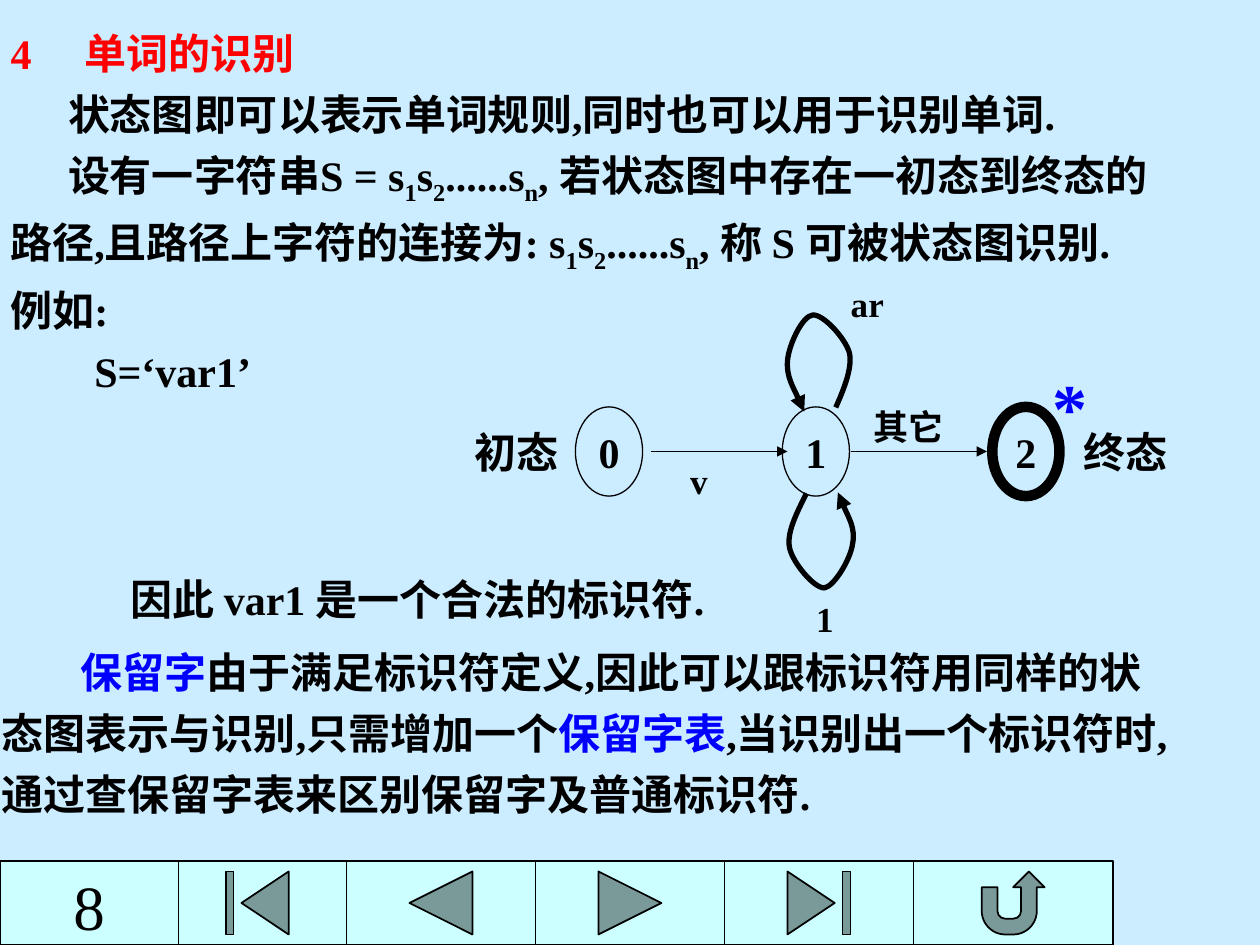
from dataclasses import dataclass

import pptx
import pptx.dml.color
import pptx.enum.shapes
import pptx.enum.text
import pptx.oxml
import pptx.oxml.ns
import pptx.util
from lxml import etree

RGB = pptx.dml.color.RGBColor
SHAPE = pptx.enum.shapes.MSO_SHAPE
ALIGN = pptx.enum.text.PP_ALIGN
ANCHOR = pptx.enum.text.MSO_ANCHOR
qn = pptx.oxml.ns.qn

SKY = RGB(0xCC, 0xEC, 0xFF)
PALE_CYAN = RGB(0xCC, 0xFF, 0xFF)
BLACK = RGB(0, 0, 0)
RED = RGB(0xFF, 0, 0)
BLUE = RGB(0, 0, 0xFF)
FONT = "Times New Roman"
COLUMNS, ROWS = 120, 90  # square cells on a 10 x 7.5 inch slide

# Running text: "_" before a letter or digit makes it a subscript, "|" switches to blue and back
INTRO = [
    ("状态图即可以表示单词规则,同时也可以用于识别单词.", 5.5),
    ("设有一字符串S = s_1s_2......s_n, 若状态图中存在一初态到终态的", 5.5),
    ("路径,且路径上字符的连接为: s_1s_2......s_n, 称 S 可被状态图识别.", 0),
    ("例如:", 0),
    ("S=‘var1’", 8),
]
CONCLUSION = [("因此 var1 是一个合法的标识符.", 0)]
RESERVED_WORDS = [
    ("|保留字|由于满足标识符定义,因此可以跟标识符用同样的状", 7.5),
    ("态图表示与识别,只需增加一个|保留字表|,当识别出一个标识符时,", 0),
    ("通过查保留字表来区别保留字及普通标识符.", 0),
]


@dataclass
class State:
    text: str
    column: float
    border: float


@dataclass
class Label:
    text: str
    column: float
    row: float
    width: float
    height: float
    size: int = 20
    color: RGB = BLACK


STATES = [State("0", 54.8, 0.75), State("1", 74.5, 0.75), State("2", 94.5, 6)]
LABELS = [
    Label("初态", 44, 40, 10.4, 6, 24),
    Label("终态", 102, 40, 10.4, 6, 24),
    Label("v", 64.5, 43.2, 4.1, 5.3),
    Label("ar", 79.8, 26.3, 5.6, 5.3),
    Label("1", 76.5, 56.3, 4.1, 5.3),
    Label("其它", 82, 38, 9.1, 5.3),
    Label("*", 99, 34, 5.8, 9.2, 40, BLUE),
]
TRANSITIONS = [(62, 75), (81, 94)]
# Bezier chains: start, then two controls and an end point per curve
LOOPS = [
    [(79.6, 38.8), (80.4, 37), (81.2, 35), (80.9, 33.6), (80.5, 32.2), (78.4, 29.9), (77.4, 30),
     (76.4, 30.1), (75.1, 32.9), (75, 34.4), (74.9, 35.9), (76.3, 38.4), (76.6, 39.2)],
    [(76.8, 47), (75.8, 49), (74.9, 50.8), (75.2, 52.2), (75.5, 53.6), (77.5, 56), (78.5, 56),
     (79.4, 55.9), (81, 53.3), (81.2, 51.8), (81.5, 50.3), (80, 47.6), (79.8, 46.9)],
]
BUTTON_EDGES = [16, 33, 51, 69, 87, 106]
BUTTONS = [
    SHAPE.ACTION_BUTTON_BEGINNING, SHAPE.ACTION_BUTTON_BACK_OR_PREVIOUS,
    SHAPE.ACTION_BUTTON_FORWARD_OR_NEXT, SHAPE.ACTION_BUTTON_END, SHAPE.ACTION_BUTTON_RETURN,
]

deck = pptx.Presentation()
deck.slide_width, deck.slide_height = pptx.util.Inches(10), pptx.util.Inches(7.5)


def cells(*counts: float) -> list[int]:
    return [round(count * deck.slide_width / COLUMNS) for count in counts]


def add_run(paragraph, text: str, size: float, color: RGB = BLACK, bold: bool = True):
    run = paragraph.add_run()
    run.text = text
    run.font.name, run.font.size, run.font.bold = FONT, pptx.util.Pt(size), bold
    run.font.color.rgb = color
    return run


def add_marked_text(paragraph, text: str) -> None:
    for part, stretch in enumerate(text.split("|")):
        color = BLUE if part % 2 else BLACK
        plain, *rest = stretch.split("_")
        if plain:
            add_run(paragraph, plain, 24, color)
        for piece in rest:
            subscript = add_run(paragraph, piece[0], 24, color)
            subscript.font._element.set("baseline", "-25000")
            add_run(paragraph, piece[1:], 24, color)


def add_text(slide, lines, column, row, width, height, align=ALIGN.LEFT) -> None:
    frame = slide.shapes.add_textbox(*cells(column, row, width, height)).text_frame
    frame.word_wrap = False
    for number, (text, indent) in enumerate(lines):
        paragraph = frame.add_paragraph() if number else frame.paragraphs[0]
        paragraph.alignment = align
        if number:
            paragraph.space_before = pptx.util.Pt(6)
        if indent:
            paragraph._p.get_or_add_pPr().set("indent", str(cells(indent)[0]))
        add_marked_text(paragraph, text)


def add_label(slide, label: Label) -> None:
    box = slide.shapes.add_textbox(*cells(label.column, label.row, label.width, label.height))
    box.text_frame.word_wrap = False
    paragraph = box.text_frame.paragraphs[0]
    paragraph.alignment = ALIGN.CENTER
    add_run(paragraph, label.text, label.size, label.color)


def add_outlined(slide, kind, column, row, width, height, border, fill=None):
    shape = slide.shapes.add_shape(kind, *cells(column, row, width, height))
    shape.shadow.inherit = False
    if fill is None:
        shape.fill.background()
    else:
        shape.fill.solid()
        shape.fill.fore_color.rgb = fill
    shape.line.color.rgb, shape.line.width = BLACK, pptx.util.Pt(border)
    return shape


def style_arrow(arrow, width: float) -> None:
    arrow.line.color.rgb, arrow.line.width = BLACK, pptx.util.Pt(width)
    etree.SubElement(arrow.line._get_or_add_ln(), qn("a:tailEnd"), type="triangle")


def add_transition(slide, start: float, end: float, row: float) -> None:
    arrow = slide.shapes.add_connector(
        pptx.enum.shapes.MSO_CONNECTOR.STRAIGHT, *cells(start, row, end, row))
    style_arrow(arrow, 0.75)
    etree.SubElement(arrow._element.spPr, qn("a:effectLst"))


def add_loop(slide, points) -> None:
    start, *others = [cells(*point) for point in points]
    builder = slide.shapes.build_freeform(*start)
    builder.add_line_segments(others, close=False)
    loop = builder.convert_to_shape()
    loop.shadow.inherit = False
    loop.fill.background()
    style_arrow(loop, 3)
    # Join every three points into one Bezier curve
    outline = next(loop._element.iter(qn("a:path")))
    segments = outline.findall(qn("a:lnTo"))
    for first in range(0, len(segments), 3):
        curve = etree.SubElement(outline, qn("a:cubicBezTo"))
        for segment in segments[first:first + 3]:
            curve.append(segment[0])
            outline.remove(segment)


def main() -> None:
    slide = deck.slides.add_slide(deck.slide_layouts[5])
    slide.background.fill.solid()
    slide.background.fill.fore_color.rgb = SKY

    # Heading, with a tab between number and words
    heading = slide.shapes.title
    heading.left, heading.top, heading.width, heading.height = cells(-0.2, 2, 119, 6)
    frame = heading.text_frame
    frame.auto_size = pptx.enum.text.MSO_AUTO_SIZE.NONE
    frame.vertical_anchor = ANCHOR.TOP
    paragraph = frame.paragraphs[0]
    paragraph.alignment = ALIGN.LEFT
    tabs = etree.SubElement(paragraph._p.get_or_add_pPr(), qn("a:tabLst"))
    etree.SubElement(tabs, qn("a:tab"), pos=str(cells(7)[0]), algn="l")
    add_run(paragraph, "4\t单词的识别", 24, RED)

    # Explanation
    add_text(slide, INTRO, -0.2, 7.8, 119, 30.6)
    add_text(slide, CONCLUSION, 9.25, 54, 61, 6, ALIGN.CENTER)
    add_text(slide, RESERVED_WORDS, -1, 61, 121.4, 17.6)

    # State diagram
    for state in STATES:
        circle = add_outlined(slide, SHAPE.OVAL, state.column, 38.75, 6.4, 8.5, state.border)
        circle.text_frame.word_wrap = False
        circle.text_frame.vertical_anchor = ANCHOR.MIDDLE
        paragraph = circle.text_frame.paragraphs[0]
        paragraph.alignment = ALIGN.CENTER
        add_run(paragraph, state.text, 24)
    for start, end in TRANSITIONS:
        add_transition(slide, start, end, 43)
    for points in LOOPS:
        add_loop(slide, points)
    for label in LABELS:
        add_label(slide, label)

    # Navigation bar and page number
    for kind, left, right in zip(BUTTONS, BUTTON_EDGES, BUTTON_EDGES[1:]):
        add_outlined(slide, kind, left, 82, right - left, 8, 1, PALE_CYAN)
    page = add_outlined(slide, SHAPE.RECTANGLE, 0, 82, 17, 8, 1, PALE_CYAN)
    page.text_frame.vertical_anchor = ANCHOR.TOP
    paragraph = page.text_frame.paragraphs[0]
    paragraph.alignment = ALIGN.CENTER
    add_run(paragraph, "8", 36, bold=False)

    deck.save("out.pptx")


if __name__ == "__main__":
    main()
